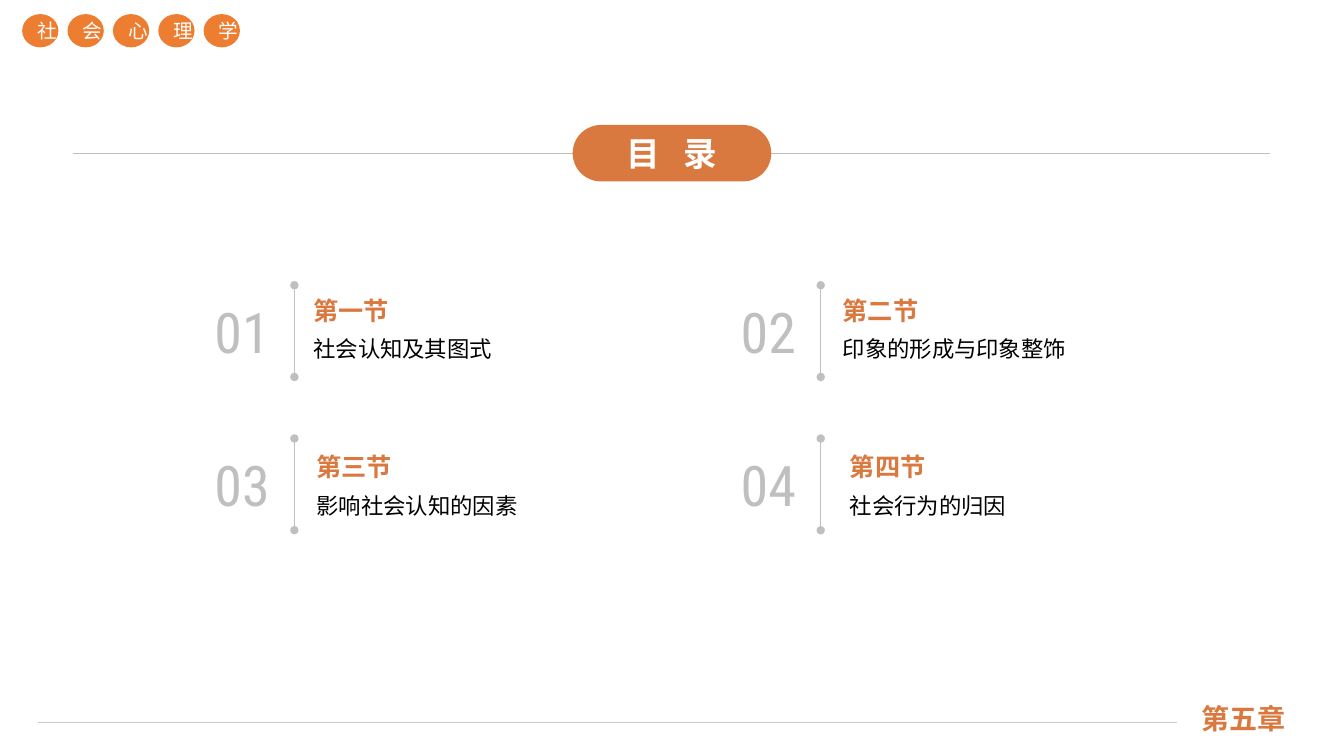
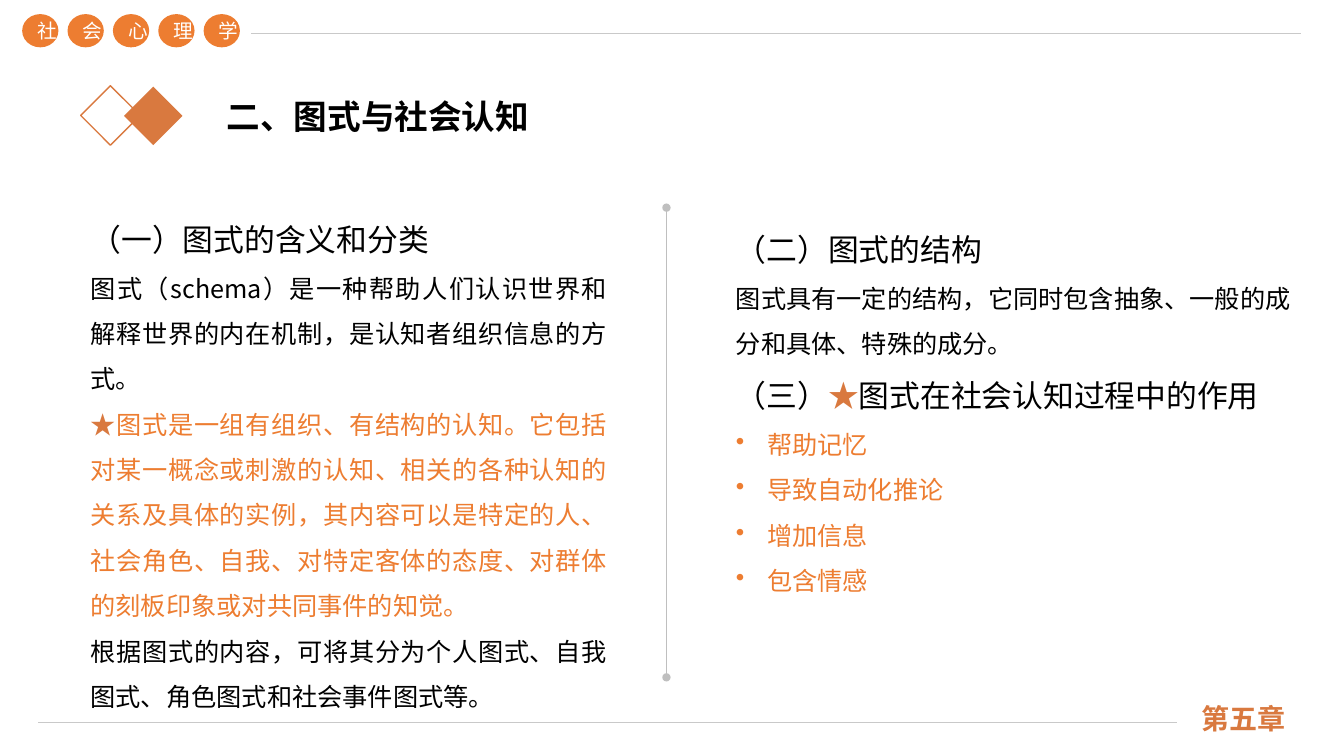
from dataclasses import dataclass

from lxml.etree import SubElement
from pptx import Presentation
from pptx.dml.color import RGBColor
from pptx.enum.shapes import MSO_CONNECTOR, MSO_SHAPE
from pptx.enum.text import MSO_ANCHOR, PP_ALIGN
from pptx.oxml.ns import qn
from pptx.util import Emu, Pt


@dataclass(frozen=True)
class Theme:
    accent: str = "D9793F"
    bright: str = "ED7D31"
    ink: str = "000000"
    paper: str = "FFFFFF"
    grey: str = "BFBFBF"
    rule: str = "C9C9C9"
    font: str = "Noto Sans CJK SC"
    chapter_font: str = "Noto Sans CJK JP"
    number_font: str = "Roboto Condensed"
    number: int = 40
    title: int = 24
    heading: int = 22
    chapter: int = 20
    body: int = 18
    caption: int = 16
    badge: int = 14


THEME = Theme()
SLIDE_W, SLIDE_H = 1333, 750
COURSE = "社会心理学"
CHAPTER = "第五章"
BULLET_INDENT = 31


def px(length):
    """Turn px (100 to the inch) into EMU."""
    return Emu(length * 9144)


# --- Drawing helpers ---

def write(frame, text, *, size, color=THEME.ink, font=THEME.font, bold=False,
          align=PP_ALIGN.LEFT, spacing=None, bullet=None, tracking=None):
    """Add one paragraph; text is a string or a list of (string, colour)."""
    paragraph = frame.paragraphs[-1]
    if paragraph.runs:
        paragraph = frame.add_paragraph()
    paragraph.alignment = align
    if spacing:
        paragraph.line_spacing = spacing
    if bullet:
        properties = paragraph._p.get_or_add_pPr()
        properties.set("marL", str(px(BULLET_INDENT)))
        properties.set("indent", str(-px(BULLET_INDENT)))
        SubElement(properties, qn("a:buChar"), char=bullet)
    pieces = [(text, color)] if isinstance(text, str) else text
    for words, tint in pieces:
        run = paragraph.add_run()
        run.text = words
        run.font.size = Pt(size)
        run.font.bold = bold
        run.font.color.rgb = RGBColor.from_string(tint)
        run.font.name = font
        run_properties = run._r.get_or_add_rPr()
        SubElement(run_properties, qn("a:ea"), typeface=font)
        if tracking:
            run_properties.set("spc", str(tracking))


def text_frame(slide, box, anchor=MSO_ANCHOR.TOP, wrap=True):
    frame = slide.shapes.add_textbox(*map(px, box)).text_frame
    frame.word_wrap = wrap
    frame.vertical_anchor = anchor
    return frame


def add_figure(shapes, kind, box, fill=None, outline=None):
    figure = shapes.add_shape(kind, *map(px, box))
    figure.shadow.inherit = False
    if fill:
        figure.fill.solid()
        figure.fill.fore_color.rgb = RGBColor.from_string(fill)
    else:
        figure.fill.background()
    if outline:
        figure.line.color.rgb = RGBColor.from_string(outline)
        figure.line.width = Pt(1)
    else:
        figure.line.fill.background()
    figure.text_frame.vertical_anchor = MSO_ANCHOR.MIDDLE
    return figure


def add_line(slide, start, end, color=THEME.rule, width=1, dotted_ends=False):
    line = slide.shapes.add_connector(
        MSO_CONNECTOR.STRAIGHT, *map(px, (*start, *end)))
    line.line.color.rgb = RGBColor.from_string(color)
    line.line.width = Pt(width)
    if dotted_ends:
        stroke = line.line._get_or_add_ln()
        for end_tag in ("a:headEnd", "a:tailEnd"):
            SubElement(stroke, qn(end_tag), type="oval")
    SubElement(line._element.spPr, qn("a:effectLst"))


# --- Parts shared by the slides ---

def add_course_badges(slide, left, top):
    badges = slide.shapes.add_group_shape().shapes
    for index, character in enumerate(COURSE):
        badge = add_figure(badges, MSO_SHAPE.OVAL,
                           (left + 45 * index, top, 36, 33), THEME.bright)
        write(badge.text_frame, character, size=THEME.badge,
              color=THEME.paper, align=PP_ALIGN.CENTER)


def add_footer(slide, left, top):
    add_line(slide, (left, top), (left + 1129, top))
    chapter = text_frame(slide, (left + 1144, top - 23, 140, 40),
                         MSO_ANCHOR.BOTTOM)
    write(chapter, CHAPTER, size=THEME.chapter, color=THEME.accent,
          font=THEME.chapter_font, bold=True)


def new_slide(deck):
    slide = deck.slides.add_slide(deck.slide_layouts[6])
    add_course_badges(slide, 22, 14)
    add_footer(slide, 38, 717)
    return slide


# --- Contents slide ---

def add_contents_title(slide, left, top, width):
    middle = top + 28
    add_line(slide, (left, middle), (left + width, middle), THEME.grey, 0.25)
    pill = add_figure(slide.shapes, MSO_SHAPE.ROUNDED_RECTANGLE,
                      (left + 496, top, 197, 56), THEME.accent)
    pill.adjustments[0] = 0.5
    write(pill.text_frame, "目 录", size=THEME.title, color=THEME.paper,
          bold=True, align=PP_ALIGN.CENTER, tracking=540)


def add_section(slide, left, top, number, name, topic, offset):
    number_frame = text_frame(slide, (left, top, 82, 91), MSO_ANCHOR.MIDDLE)
    write(number_frame, f"{number:02}", size=THEME.number, color=THEME.grey,
          font=THEME.number_font, align=PP_ALIGN.CENTER)
    add_line(slide, (left + 93, top), (left + 93, top + 91), THEME.grey,
             dotted_ends=True)
    text_left, text_top = left + offset[0], top + offset[1]
    name_frame = text_frame(slide, (text_left, text_top, 311, 40),
                            MSO_ANCHOR.BOTTOM)
    write(name_frame, name, size=THEME.body, color=THEME.accent, bold=True)
    topic_frame = text_frame(slide, (text_left, text_top + 40, 311, 64))
    write(topic_frame, topic, size=THEME.caption, align=PP_ALIGN.JUSTIFY)


def build_contents(deck):
    slide = new_slide(deck)
    add_contents_title(slide, 72, 124, 1188)
    sections = [
        ("第一节", "社会认知及其图式", (102, 5)),
        ("第二节", "印象的形成与印象整饰", (105, 5)),
        ("第三节", "影响社会认知的因素", (105, 8)),
        ("第四节", "社会行为的归因", (112, 8)),
    ]
    for index, section in enumerate(sections):
        row, column = divmod(index, 2)
        add_section(slide, 199 + 522 * column, 283 + 152 * row,
                    index + 1, *section)


# --- Topic slide ---

def add_topic_title(slide, left, top, title):
    diamonds = slide.shapes.add_group_shape().shapes
    add_figure(diamonds, MSO_SHAPE.DIAMOND, (left + 43, top + 1, 58, 58),
               fill=THEME.accent)
    add_figure(diamonds, MSO_SHAPE.DIAMOND, (left, top, 59, 59),
               outline=THEME.accent)
    title_frame = text_frame(slide, (left + 135, top + 5, 321, 50), wrap=False)
    write(title_frame, title, size=THEME.title, bold=True)


def add_column(slide, box, paragraphs):
    """Each paragraph is its text and the format that sets it apart."""
    frame = text_frame(slide, box)
    for text, style in paragraphs:
        write(frame, text, align=PP_ALIGN.JUSTIFY, spacing=1.5,
              **{"size": THEME.body, **style})


def build_topic(deck):
    slide = new_slide(deck)
    add_line(slide, (249, 33), (1290, 33))
    add_topic_title(slide, 80, 85, "二、图式与社会认知")
    heading = {"size": THEME.heading}
    effect = {"color": THEME.bright, "bullet": "•"}
    star = ("★", THEME.accent)

    add_column(slide, (80, 196, 532, 520), [
        ("（一）图式的含义和分类", heading),
        ("图式（schema）是一种帮助人们认识世界和解释世界的内在机制，"
         "是认知者组织信息的方式。", {}),
        ([star,
          ("图式是一组有组织、有结构的认知。它包括对某一概念或刺激的认知、"
           "相关的各种认知的关系及具体的实例，其内容可以是特定的人、社会角色、"
           "自我、对特定客体的态度、对群体的刻板印象或对共同事件的知觉。",
           THEME.bright)], {}),
        ("根据图式的内容，可将其分为个人图式、自我图式、"
         "角色图式和社会事件图式等。", {}),
    ])
    add_line(slide, (661, 206), (661, 672), THEME.grey, dotted_ends=True)
    effects = ("帮助记忆", "导致自动化推论", "增加信息", "包含情感")
    add_column(slide, (720, 206, 570, 439), [
        ("（二）图式的结构", heading),
        ("图式具有一定的结构，它同时包含抽象、"
         "一般的成分和具体、特殊的成分。", {}),
        ([("（三）", THEME.ink), star,
          ("图式在社会认知过程中的作用", THEME.ink)], heading),
        *((name, effect) for name in effects),
    ])


def main():
    deck = Presentation()
    deck.slide_width, deck.slide_height = px(SLIDE_W), px(SLIDE_H)
    build_contents(deck)
    build_topic(deck)
    deck.save("out.pptx")


if __name__ == "__main__":
    main()
